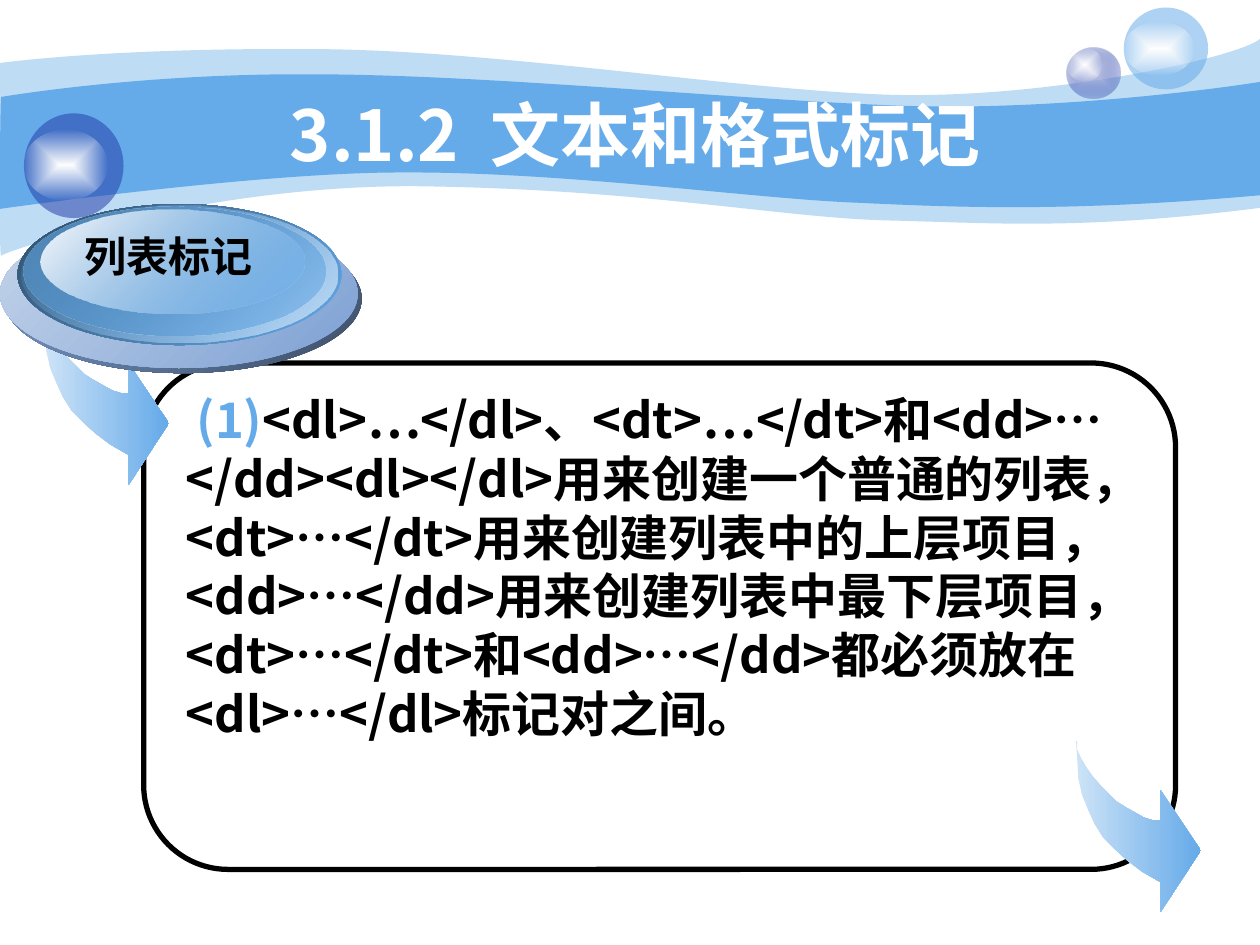
"""Build the slide on HTML list tags."""
from lxml.etree import SubElement
from pptx import Presentation
from pptx.dml.color import RGBColor as RGB
from pptx.enum.shapes import MSO_SHAPE as Kind
from pptx.enum.text import MSO_ANCHOR as Anchor, MSO_AUTO_SIZE as Fit, PP_ALIGN as Align
from pptx.oxml import parse_xml
from pptx.oxml.ns import nsdecls, qn
from pptx.util import Pt


class Theme:
    sky, pale, navy = "65AAE9", "CDE3F7", "233DA9"
    white, clear, black = "FFFFFF", "FEFEFE", "000000"
    lilac, steel, mist = "C6CCE8", "7DA0D3", "C4D4EA"
    slate, deep, ice, blue = "3C4D66", "2E4E6B", "C8E0F6", "4F86B7"
    head, label, body = 40, 24, 28
    sans, latin = "Noto Sans CJK SC", "Arial"


def paint(shape, stops, angle=None):
    """Fill with one colour or a gradient; without an angle it runs from the centre."""
    tones = [f'<a:srgbClr val="{tone}"><a:alpha val="{part * 1000}"/></a:srgbClr>'
             for tone, part in stops]
    if len(tones) == 1:
        tag, inner = "solidFill", tones[0]
    else:
        tag = "gradFill"
        way = (f'<a:lin ang="{angle * 60000}" scaled="0"/>' if angle is not None else
               '<a:path path="rect"><a:fillToRect l="50000" t="50000" r="50000" b="50000"/></a:path>')
        marks = "".join(f'<a:gs pos="{i * 100000}">{tone}</a:gs>' for i, tone in enumerate(tones))
        inner = f"<a:gsLst>{marks}</a:gsLst>{way}"
    shape.shadow.inherit = False
    shape.line.fill.background()
    shape.fill.background()
    props = shape.element.spPr
    props.replace(props.find(qn("a:noFill")),
                  parse_xml(f'<a:{tag} {nsdecls("a")}>{inner}</a:{tag}>'))


def say(frame, runs, size, font, align):
    """Write one paragraph run by run."""
    frame.word_wrap = True
    frame.auto_size = Fit.NONE
    para = frame.paragraphs[0]
    para.alignment = align
    for text, tone, bold in runs:
        run = para.add_run()
        run.text = text
        run.font.size, run.font.bold, run.font.name = Pt(size), bold, font
        run.font.color.rgb = RGB.from_string(tone)
        SubElement(run.font._element, qn("a:ea")).set("typeface", Theme.sans)


deck = Presentation()
deck.slide_width, deck.slide_height = Pt(720), Pt(540)
slide = deck.slides.add_slide(deck.slide_layouts[5])
shapes = slide.shapes

rear = [(0, 36), (17.3, 33.8), (77, 27.4), (177.8, 28.1), (277.9, 28.1),
        (414, 50.4), (503.3, 54), (591.8, 57.6), (705.6, 33.8), (720, 22.3),
        (720, 118.8), (617.8, 131.8), (566.6, 127.4), (507.6, 126), (447.8, 124.6),
        (370.8, 108.7), (247, 106.6), (123.8, 103.7), (2.9, 143.3), (0.7, 146.2),
        (-0.7, 149.8), (0, 54), (0, 36)]
front = [(0.7, 55.4), (1.4, 55.4), (79.2, 41.8), (178.6, 42.5), (277.9, 42.5),
         (428.4, 57.6), (517, 60.5), (605.5, 63.4), (702.7, 49.7), (720, 46.8),
         (720, 111.6), (614.2, 121), (550.8, 118.8), (491, 115.9), (431.3, 113.8),
         (322.6, 97.9), (228.2, 98.6), (146.2, 98.6), (-1.4, 119.5), (-0.7, 119.5),
         (0, 119.5), (0, 55.4), (0.7, 55.4)]
swoop = [(0, 0), (0.7, 10.8), (1.4, 21.6), (3.6, 31), (7.2, 39.6), (10.8, 47.5), (15.8, 55.4),
         (22.3, 61.9), (29.5, 68.4), (38.2, 74.9), (48.2, 80.6), (48.2, 97.9), (71.3, 62.6),
         (48.2, 28.1), (48.2, 45.4), (43.9, 45.4), (38.9, 43.9), (33.8, 41), (28.8, 38.2),
         (23, 34.6), (18.7, 30.2), (13.7, 25.2), (9.4, 20.2), (5.8, 15.1), (2.9, 10.1),
         (0.7, 5), (0.7, 0), (0, 0)]
bends = (0, 3, 6, 10, 13, 16, 19)
fade = [(Theme.pale, 100), (Theme.sky, 100)]
forms = []
for left, top, dots, curves, stops in (
        (0, 0, rear, bends, [(Theme.sky, 41)]),
        (0, 0, front, bends, [(Theme.sky, 100)]),
        (25.2, 179.3, swoop, (), fade),
        (614.9, 423.4, swoop, (), fade)):
    dots = [((left + x) * 100, (top + y) * 100) for x, y in dots]
    path = shapes.build_freeform(*dots[0], scale=Pt(1) / 100)
    path.add_line_segments(dots[1:], close=True)
    form = path.convert_to_shape()
    lines = list(form.element.iter(qn("a:lnTo")))
    for first in curves:
        curve = parse_xml(f'<a:cubicBezTo {nsdecls("a")}/>')
        lines[first].addprevious(curve)
        for line in lines[first:first + 3]:
            curve.append(line[0])
            line.getparent().remove(line)
    paint(form, stops, 0)
    forms.append(form)

glow = [(Theme.white, 100), (Theme.clear, 0)]
balls = [
    [((609.8, 27.4, 30.2, 28.8), [(Theme.lilac, 100), (Theme.navy, 31)], None),
     ((609.8, 27.4, 20.2, 19.4), glow, None)],
    [((642.2, 4.3, 48.2, 46.8), [(Theme.sky, 53)], None),
     ((642.2, 12.2, 40.3, 31), glow, None)],
    [((13.7, 64.8, 56.9, 59.8), [(Theme.navy, 53)], None),
     ((13.7, 74.2, 47.5, 40.3), glow, None)],
]
badge = [
    ((2.2, 128.2, 204.5, 85), [(Theme.slate, 100), (Theme.steel, 100)], 225),
    ((0, 125.3, 204.5, 85), [(Theme.steel, 100), (Theme.mist, 100)], 225),
    ((10.1, 116.6, 185, 80.6), [(Theme.sky, 100), (Theme.deep, 100)], 225),
    ((12.2, 117.4, 180.7, 78.5), [(Theme.ice, 100), (Theme.sky, 0)], 225),
    ((13.7, 118.1, 172.1, 73.4), [(Theme.sky, 48), (Theme.blue, 100)], 225),
    ((23, 119.5, 151.2, 59.8), [(Theme.sky, 38), (Theme.clear, 100)], 225),
]
groups = []
for discs in balls + [badge]:
    group = shapes.add_group_shape()
    for box, stops, angle in discs:
        paint(group.shapes.add_shape(Kind.OVAL, *map(Pt, box)), stops, angle)
    groups.append(group)

title = shapes.title
title.left, title.top, title.width, title.height = map(Pt, (72, 54, 581.8, 44.6))
title.text_frame.vertical_anchor = Anchor.MIDDLE
say(title.text_frame, [("3.1.2  文本和格式标记", Theme.white, True)],
    Theme.head, Theme.sans, Align.CENTER)
shapes.element.append(title.element)

panel = shapes.add_shape(Kind.ROUNDED_RECTANGLE, *map(Pt, (82.1, 207.4, 589.7, 289.4)))
panel.adjustments[0] = 1 / 6
panel.shadow.inherit = False
panel.fill.background()
panel.line.color.rgb = RGB.from_string(Theme.black)
panel.line.width = Pt(3)

shapes.element.append(forms[2].element)
shapes.element.append(groups[-1].element)
label = shapes.add_textbox(*map(Pt, (25.2, 128.2, 141.8, 36)))
say(label.text_frame, [("列表标记", Theme.black, True)], Theme.label, Theme.latin, Align.CENTER)

note = shapes.add_textbox(*map(Pt, (99, 219, 561.6, 242.6)))
say(note.text_frame, [
    (" ", Theme.black, False),
    ("(1)", Theme.sky, True),
    ("<dl>…</dl>、<dt>…</dt>和<dd>…</dd><dl></dl>用来创建一个普通的列表，"
     "<dt>…</dt>用来创建列表中的上层项目，<dd>…</dd>用来创建列表中最下层项目，"
     "<dt>…</dt>和<dd>…</dd>都必须放在<dl>…</dl>标记对之间。", Theme.black, True),
], Theme.body, Theme.sans, Align.LEFT)
shapes.element.append(forms[3].element)

deck.save("out.pptx")
